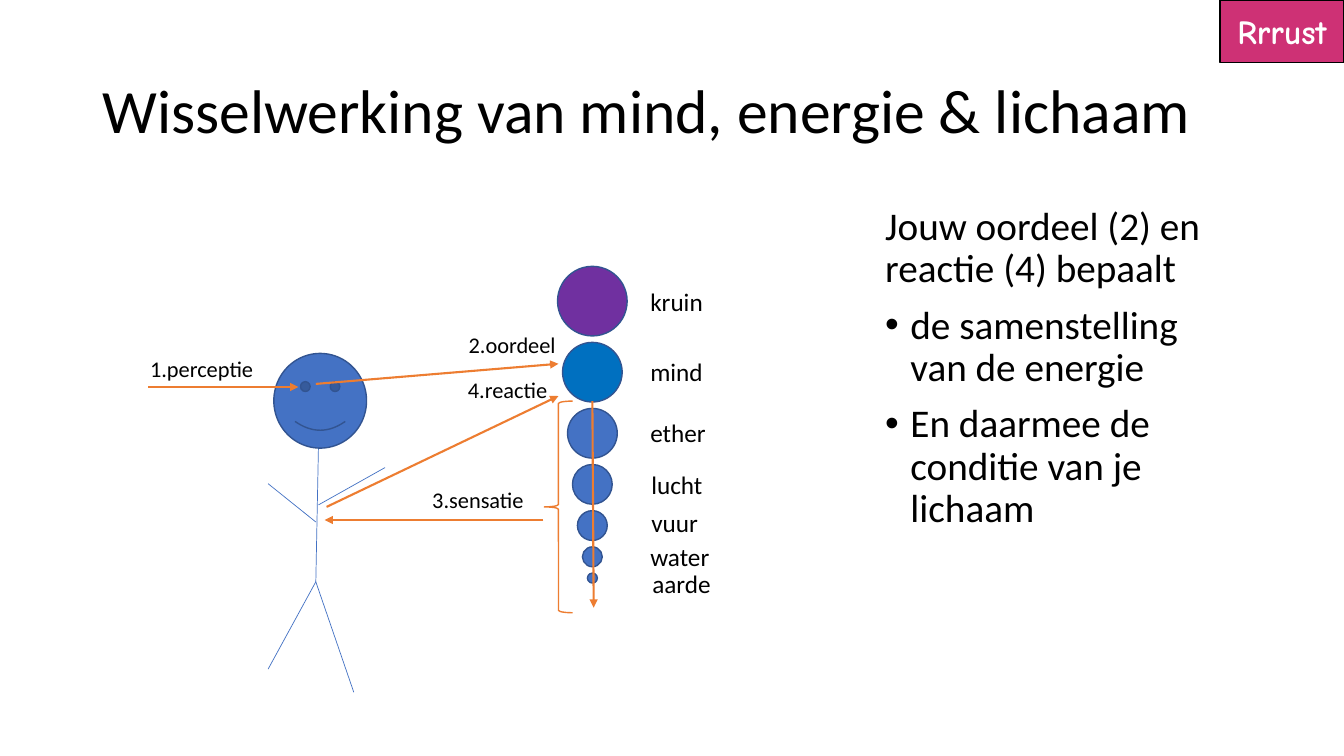
from dataclasses import dataclass

from lxml.etree import SubElement
from pptx import Presentation
from pptx.dml.color import RGBColor
from pptx.enum.shapes import MSO_CONNECTOR as CONN, MSO_SHAPE as SHAPE
from pptx.enum.text import MSO_ANCHOR as ANCHOR, MSO_AUTO_SIZE as FIT, PP_ALIGN as ALIGN
from pptx.oxml.ns import qn
from pptx.util import Inches, Pt


@dataclass(frozen=True)
class Theme:
    """Colours, fonts and type sizes of the slide."""
    ink: str = "000000"
    paper: str = "FFFFFF"
    pink: str = "CE3175"
    blue: str = "4472C4"
    edge: str = "325491"
    purple: str = "7030A0"
    azure: str = "0070C0"
    orange: str = "ED7D31"
    font: str = "Calibri"
    badge_font: str = "Comic Neue"
    title: int = 44
    body: int = 28
    badge: int = 24
    label: int = 18
    caption: int = 16


def rgb(code):
    """Return a colour from its hex code."""
    return RGBColor.from_string(code)


def write(p, text, *, size, font, color, bold=False, align=ALIGN.LEFT,
          spacing=None, before=0, bullet=None):
    """Fill a paragraph with formatted text."""
    pPr = p._p.get_or_add_pPr()
    if bullet:
        pPr.set("marL", str(Inches(0.25)))
        pPr.set("indent", str(-Inches(0.25)))
        SubElement(pPr, qn("a:buFont")).set("typeface", "Arial")
        SubElement(pPr, qn("a:buChar")).set("char", bullet)
    p.alignment = align
    p.space_before = Pt(before)
    if spacing:
        p.line_spacing = spacing
    r = p.add_run()
    r.text = text
    r.font.size, r.font.name, r.font.bold = Pt(size), font, bold
    r.font.color.rgb = rgb(color)


class Board:
    """Draws on one slide with a square grid of 40 columns."""

    def __init__(self, prs, theme):
        """Add a title-only slide."""
        self.theme = theme
        self.unit = prs.slide_width / 40
        self.slide = prs.slides.add_slide(prs.slide_layouts[5])
        self.shapes = self.slide.shapes

    def grid(self, *cells):
        """Turn grid cells into lengths."""
        return [round(c * self.unit) for c in cells]

    def title(self, text, *box):
        """Place and fill the title placeholder."""
        sp = self.shapes.title
        sp.left, sp.top, sp.width, sp.height = self.grid(*box)
        tf = sp.text_frame
        tf.auto_size, tf.vertical_anchor = FIT.NONE, ANCHOR.MIDDLE
        write(tf.paragraphs[0], text, size=self.theme.title, font=self.theme.font,
              color=self.theme.ink, spacing=0.9)

    def shape(self, kind, *box, fill=None, line, width=1):
        """Add a preset shape."""
        sp = self.shapes.add_shape(kind, *self.grid(*box))
        sp.shadow.inherit = False
        if fill:
            sp.fill.solid()
            sp.fill.fore_color.rgb = rgb(fill)
        else:
            sp.fill.background()
        sp.line.color.rgb = rgb(line)
        sp.line.width = Pt(width)
        return sp

    def badge(self, text, *box):
        """Add the coloured name tag."""
        t = self.theme
        tf = self.shape(SHAPE.RECTANGLE, *box, fill=t.pink, line=t.ink).text_frame
        tf.vertical_anchor = ANCHOR.MIDDLE
        write(tf.paragraphs[0], text, size=t.badge, font=t.badge_font,
              color=t.paper, bold=True, align=ALIGN.CENTER)

    def label(self, text, *box, size):
        """Add a one-line text."""
        tf = self.shapes.add_textbox(*self.grid(*box)).text_frame
        tf.word_wrap, tf.auto_size = False, FIT.SHAPE_TO_FIT_TEXT
        write(tf.paragraphs[0], text, size=size, font=self.theme.font, color=self.theme.ink)

    def body(self, lead, points, *box):
        """Add a lead sentence with bullets below it."""
        t = self.theme
        tf = self.shapes.add_textbox(*self.grid(*box)).text_frame
        tf.word_wrap = True
        style = dict(size=t.body, font=t.font, color=t.ink, spacing=0.9)
        write(tf.paragraphs[0], lead, **style)
        for point in points:
            write(tf.add_paragraph(), point, before=10, bullet="•", **style)

    def line(self, *ends, color, width, arrow=False):
        """Add a straight line, with an arrowhead if asked."""
        sp = self.shapes.add_connector(CONN.STRAIGHT, *self.grid(*ends))
        sp.line.color.rgb = rgb(color)
        sp.line.width = Pt(width)
        if arrow:
            SubElement(sp.line._get_or_add_ln(), qn("a:tailEnd")).set("type", "triangle")
        SubElement(sp._element.spPr, qn("a:effectLst"))


def main():
    """Build and save the slide."""
    prs = Presentation()
    prs.slide_width, prs.slide_height = Inches(13.33), Inches(7.5)
    t = Theme()
    board = Board(prs, t)
    board.title("Wisselwerking van mind, energie & lichaam", 2.75, 1.2, 34.5, 4.35)
    board.badge("Rrrust", 36.31, 0, 3.69, 1.86)

    neck, hip = (9.48, 13.2), (9.4, 17.32)
    limbs = [
        (*neck, *hip),
        (9.4, 15.54, 7.98, 14.4),
        (9.48, 15.03, 11.46, 13.92),
        (*hip, 7.98, 19.92),
        (*hip, 10.53, 20.61),
    ]
    for limb in limbs:
        board.line(*limb, color=t.blue, width=0.5)
    board.shape(SHAPE.SMILEY_FACE, 8.15, 10.52, 2.76, 2.82, fill=t.blue, line=t.edge)

    layers = [
        ("kruin", t.purple, 0, 0), ("mind", t.azure, 0, -0.03),
        ("ether", t.blue, 0, -0.03), ("lucht", t.blue, 0.03, 0),
        ("vuur", t.blue, 0.03, -0.09), ("water", t.blue, 0, 0),
        ("aarde", t.blue, 0.06, 0.15),
    ]
    axis, top, gap, step = 17.63, 7.93, 0.19, 0.296
    for i, (name, fill, dx, dy) in enumerate(layers):
        size = step * (len(layers) - i)
        board.shape(SHAPE.OVAL, axis - size / 2, top, size, size, fill=fill, line=t.edge)
        board.label(name, 19.06 + dx, top + size / 2 - 0.6 + dy, 2.5, 1.2, size=t.label)
        top += size + gap

    board.shape(SHAPE.LEFT_BRACE, 16.2, 11.94, 0.84, 6.3, line=t.orange)
    arrows = [
        (4.42, 11.52, 8.88, 11.52),
        (9.4, 11.43, 16.62, 10.83),
        (axis, 11.94, 17.67, 18.09),
        (16.17, 15.48, 9.66, 15.48),
        (9.72, 15.09, 16.62, 11.79),
    ]
    for arrow in arrows:
        board.line(*arrow, color=t.orange, width=1.5, arrow=True)
    captions = [
        ("1.perceptie", 4.17, 10.42, 3.72), ("2.oordeel", 13.65, 9.71, 3.24),
        ("3.sensatie", 12.57, 14.31, 3.36), ("4.reactie", 13.63, 11.04, 3),
    ]
    for text, left, y, width in captions:
        board.label(text, left, y, width, 1.11, size=t.caption)

    board.body("Jouw oordeel (2) en reactie (4) bepaalt",
               ["de samenstelling van de energie", "En daarmee de conditie van je lichaam"],
               26.05, 6, 10.26, 14.28)
    prs.save("out.pptx")


if __name__ == "__main__":
    main()
